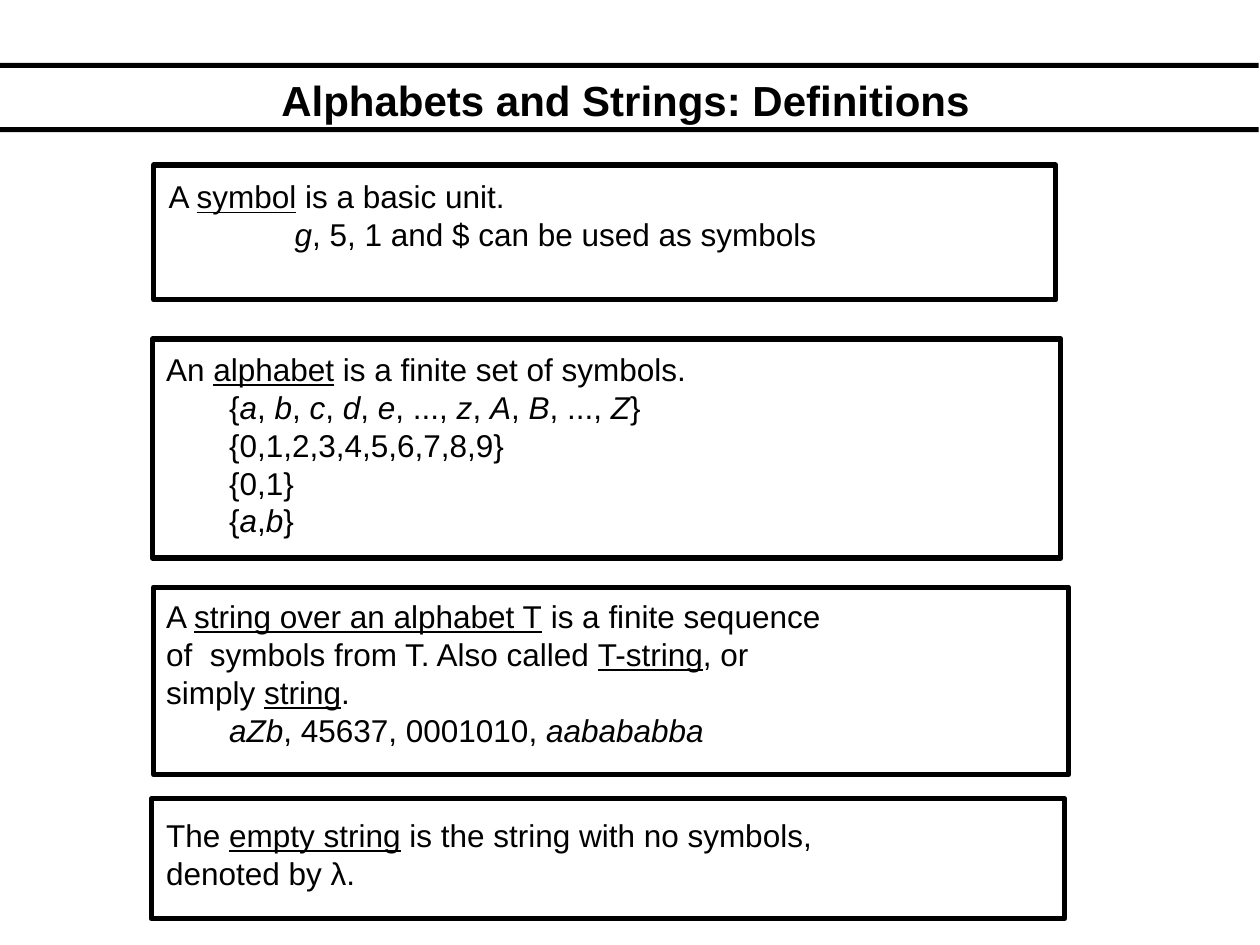
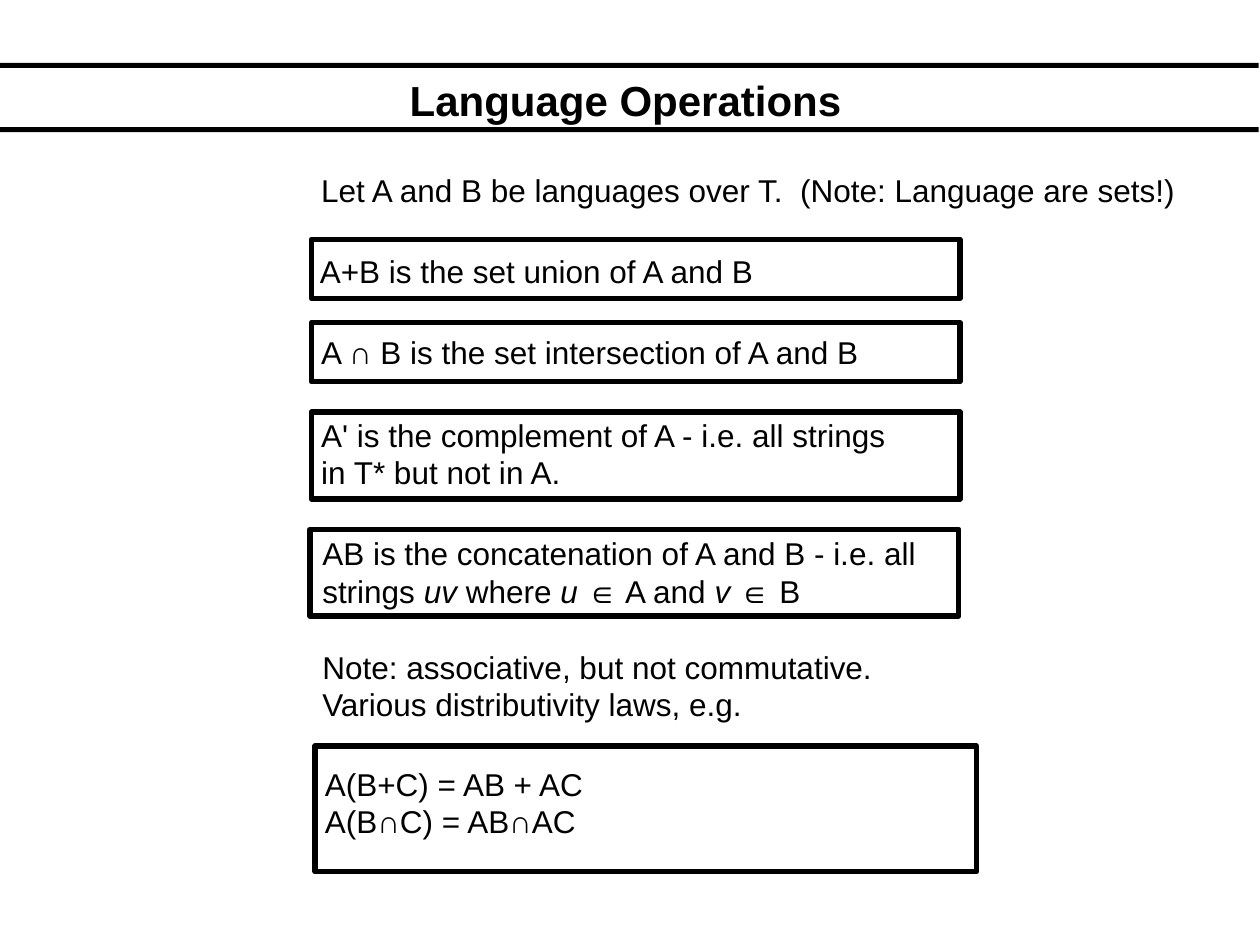
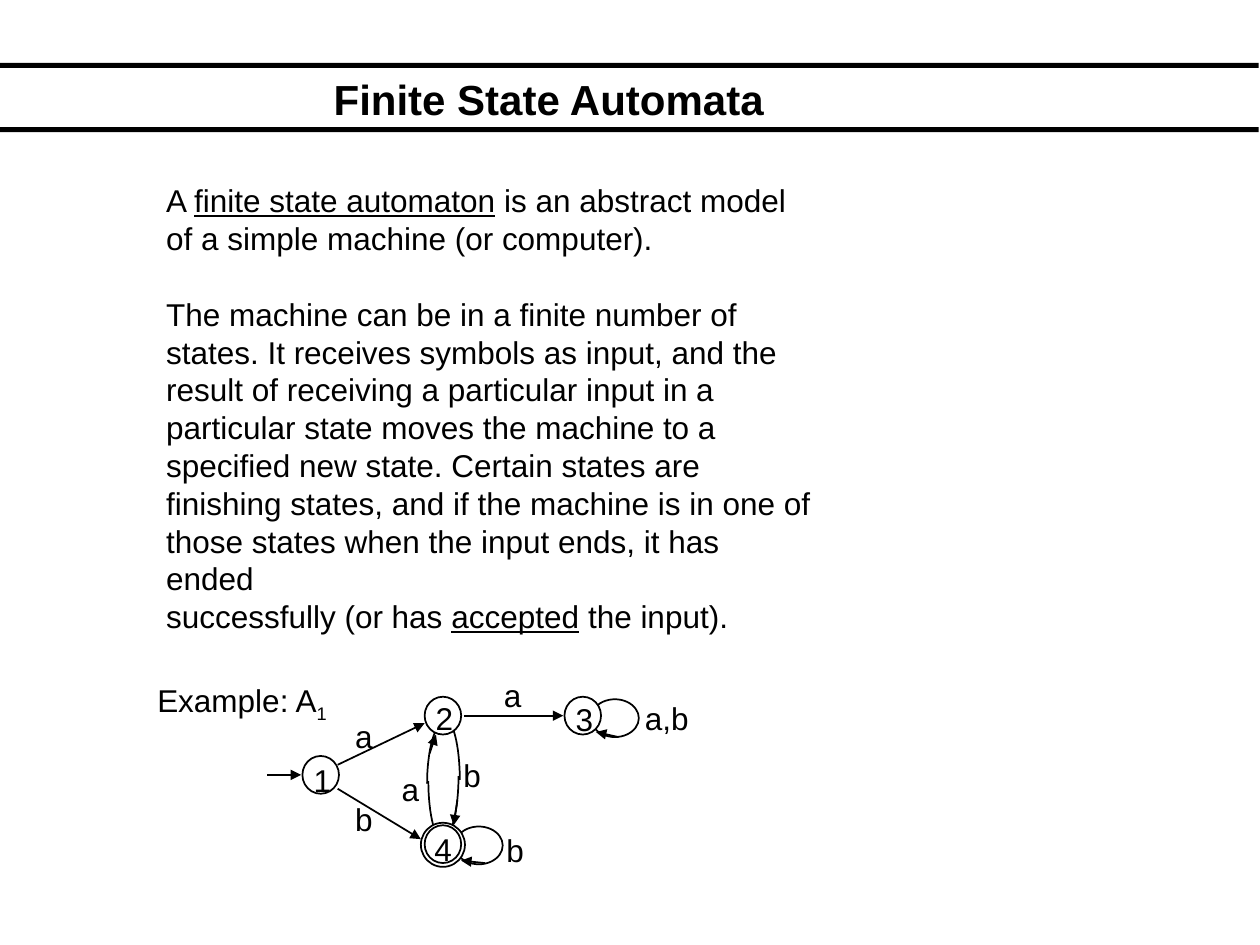
import dataclasses
import math
import typing

import pptx
import pptx.dml.color
import pptx.enum.shapes
import pptx.enum.text
import pptx.oxml
import pptx.oxml.ns
import pptx.util

Inches = pptx.util.Inches
Pt = pptx.util.Pt
SHAPES = pptx.enum.shapes.MSO_SHAPE

COLORS = {"ink": "000000", "paper": "FFFFFF"}
FONT = "Arial"
BODY_SIZE = 18
TITLE_SIZE = 24
LEADING = 1.2
BLANK_LINE = BODY_SIZE * LEADING

# Marks that switch a run format on and off inside a line of text
RUN_MARKS = {"_": "underline", "/": "italic", "~": "subscript"}


class Box(typing.NamedTuple):
    left: float
    top: float
    width: float
    height: float

    def lengths(self) -> list:
        return [Inches(value) for value in self]


@dataclasses.dataclass
class Line:
    text: str
    indent: float = 0
    space_before: float = 0


@dataclasses.dataclass
class TextBlock:
    box: Box
    lines: list


class Arc(typing.NamedTuple):
    center_x: float
    center_y: float
    radius_x: float
    radius_y: float
    start_degrees: int


class Arrow(typing.NamedTuple):
    start_x: float
    start_y: float
    end_x: float
    end_y: float


class Label(typing.NamedTuple):
    text: str
    left: float
    top: float
    width: float = 0.34


def rgb(name: str) -> pptx.dml.color.RGBColor:
    return pptx.dml.color.RGBColor.from_string(COLORS[name])


def split_runs(text: str) -> list:
    """Cut marked text into (text, format name) pairs."""
    runs, current, active = [], "", None
    for character in text:
        if character in RUN_MARKS:
            if current:
                runs.append((current, active))
            current = ""
            active = None if active else RUN_MARKS[character]
        else:
            current += character
    return runs + [(current, active)] if current else runs


def fill_paragraph(paragraph, line: Line, size: float, bold: bool) -> None:
    paragraph.line_spacing = Pt(size * LEADING)
    if line.space_before:
        paragraph.space_before = Pt(line.space_before)
    if line.indent:
        paragraph._p.get_or_add_pPr().set("marL", str(Inches(line.indent)))
    for text, active in split_runs(line.text):
        run = paragraph.add_run()
        run.text = text
        formats = {"name": FONT, "size": Pt(size), "bold": bold}
        if active == "subscript":
            run._r.get_or_add_rPr().set("baseline", "-25000")
        elif active:
            formats[active] = True
        for attribute, value in formats.items():
            setattr(run.font, attribute, value)
        run.font.color.rgb = rgb("ink")


def add_text(slide, block: TextBlock, size: float = BODY_SIZE, bold: bool = False):
    shape = slide.shapes.add_textbox(*block.box.lengths())
    frame = shape.text_frame
    frame.word_wrap = False
    for index, line in enumerate(block.lines):
        paragraph = frame.add_paragraph() if index else frame.paragraphs[0]
        fill_paragraph(paragraph, line, size, bold)
    return shape


def add_label(slide, label: Label) -> None:
    box = Box(label.left, label.top, label.width, 0.4)
    add_text(slide, TextBlock(box, [Line(label.text)]))


def add_outline(slide, kind, box: Box, width: float, fill: typing.Optional[str] = None) -> None:
    shape = slide.shapes.add_shape(kind, *box.lengths())
    shape.shadow.inherit = False
    if fill:
        shape.fill.solid()
        shape.fill.fore_color.rgb = rgb(fill)
    else:
        shape.fill.background()
    if width:
        shape.line.color.rgb = rgb("ink")
        shape.line.width = Pt(width)
    else:
        shape.line.fill.background()


def add_arc(slide, arc: Arc, steps: int = 16) -> None:
    """Draw a quarter of an ellipse."""
    points = []
    for step in range(steps + 1):
        angle = math.radians(arc.start_degrees + 90 * step / steps)
        points.append((Inches(arc.center_x + arc.radius_x * math.cos(angle)),
                       Inches(arc.center_y + arc.radius_y * math.sin(angle))))
    builder = slide.shapes.build_freeform(*points[0])
    builder.add_line_segments(points[1:], close=False)
    shape = builder.convert_to_shape()
    shape.shadow.inherit = False
    shape.fill.background()
    shape.line.color.rgb = rgb("ink")
    shape.line.width = Pt(1)


def add_arrow(slide, arrow: Arrow) -> None:
    connector = slide.shapes.add_connector(
        pptx.enum.shapes.MSO_CONNECTOR.STRAIGHT, *[Inches(value) for value in arrow])
    connector.line.color.rgb = rgb("ink")
    connector.line.width = Pt(1)
    tail = pptx.oxml.parse_xml(
        f'<a:tailEnd {pptx.oxml.ns.nsdecls("a")} type="triangle"/>')
    connector.line._get_or_add_ln().append(tail)
    effects = pptx.oxml.parse_xml(f'<a:effectLst {pptx.oxml.ns.nsdecls("a")}/>')
    connector._element.spPr.append(effects)


TITLE_BOX = Box(0.56, 0.53, 8.81, 0.52)


def add_titled_slide(presentation, title: str, box: Box = TITLE_BOX):
    """Add a blank slide with the two rules and the title between them."""
    slide = presentation.slides.add_slide(presentation.slide_layouts[6])
    for top in (1.01, 0.5):
        add_outline(slide, SHAPES.RECTANGLE, Box(0, top, 9.99, 0.04), 0, "ink")
    shape = add_text(slide, TextBlock(box, [Line(title)]), TITLE_SIZE, True)
    frame = shape.text_frame
    frame.word_wrap = True
    frame.vertical_anchor = pptx.enum.text.MSO_ANCHOR.MIDDLE
    frame.paragraphs[0].alignment = pptx.enum.text.PP_ALIGN.CENTER
    return slide


def add_framed_texts(slide, blocks: list, frames: list) -> None:
    for block in blocks:
        add_text(slide, block)
    for frame in frames:
        add_outline(slide, SHAPES.RECTANGLE, frame, 3)


# Slide 1: definitions
DEFINITIONS = [
    TextBlock(Box(1.24, 1.36, 5.34, 0.7), [
        Line("A _symbol_ is a basic unit."),
        Line("/g/, 5, 1 and $ can be used as symbols", indent=1)]),
    TextBlock(Box(1.22, 4.69, 5.48, 1.3), [
        Line("A _string over an alphabet T_ is a finite sequence"),
        Line("of  symbols from T. Also called _T-string_, or"),
        Line("simply _string_."),
        Line("/aZb/, 45637, 0001010, /aabababba/", indent=0.5)]),
    TextBlock(Box(1.22, 6.43, 5.33, 0.7), [
        Line("The _empty string_ is the string with no symbols,"),
        Line("denoted by λ.")]),
    TextBlock(Box(1.22, 2.73, 4.33, 1.6), [
        Line("An _alphabet_ is a finite set of symbols."),
        Line("{/a/, /b/, /c/, /d/, /e/, ..., /z/, /A/, /B/, ..., /Z/}", indent=0.5),
        Line("{0,1,2,3,4,5,6,7,8,9}", indent=0.5),
        Line("{0,1}", indent=0.5),
        Line("{/a/,/b/}", indent=0.5)]),
]
DEFINITION_FRAMES = [
    Box(1.21, 2.69, 7.21, 1.74), Box(1.22, 1.31, 7.16, 1.07),
    Box(1.22, 4.66, 7.26, 1.49), Box(1.2, 6.34, 7.25, 0.95),
]

# Slide 2: operations
OPERATIONS = [
    TextBlock(Box(2.44, 1.95, 3.67, 0.4), [Line("A+B is the set union of A and B")]),
    TextBlock(Box(2.45, 2.59, 4.52, 0.4), [
        Line("A ∩ B is the set intersection of A and B")]),
    TextBlock(Box(2.45, 3.25, 4.71, 0.7), [
        Line("A' is the complement of A - i.e. all strings"),
        Line("in T* but not in A.")]),
    TextBlock(Box(2.46, 4.19, 4.94, 1.6), [
        Line("AB is the concatenation of A and B - i.e. all"),
        Line("strings /uv/ where /u ∈/ A and /v ∈/ B"),
        Line("Note: associative, but not commutative.", space_before=BLANK_LINE),
        Line("Various distributivity laws, e.g.")]),
    TextBlock(Box(2.45, 1.31, 7.04, 0.4), [
        Line("Let A and B be languages over T.  (Note: Language are sets!)")]),
    TextBlock(Box(2.48, 6.02, 2.28, 0.7), [
        Line("A(B+C) = AB + AC"),
        Line("A(B∩C) = AB∩ΑC")]),
]
OPERATION_FRAMES = [
    Box(2.47, 1.9, 5.15, 0.47), Box(2.47, 2.56, 5.15, 0.47),
    Box(2.47, 3.27, 5.15, 0.69), Box(2.46, 4.2, 5.15, 0.69),
    Box(2.5, 5.92, 5.25, 1),
]

# Slide 3: automaton
AUTOMATON_TEXTS = [
    TextBlock(Box(1.22, 1.39, 5.35, 3.4), [
        Line("A _finite state automaton_ is an abstract model"),
        Line("of a simple machine (or computer)."),
        Line("The machine can be in a finite number of", space_before=BLANK_LINE),
        Line("states. It receives symbols as input, and the"),
        Line("result of receiving a particular input in a"),
        Line("particular state moves the machine to a"),
        Line("specified new state. Certain states are"),
        Line("finishing states, and if the machine is in one of"),
        Line("those states when the input ends, it has ended"),
        Line("successfully (or has _accepted_ the input).")]),
    TextBlock(Box(1.15, 5.4, 1.56, 0.44), [Line("Example: A~1~")]),
]
LOOPS = [Box(3.61, 6.56, 0.38, 0.3), Box(4.69, 5.55, 0.38, 0.3)]
ARCS = [
    Arc(3.53, 6.2, 0.13, 0.49, 90), Arc(3.53, 6.22, 0.14, 0.49, 180),
    Arc(3.51, 6.16, 0.13, 0.5, 0), Arc(3.52, 6.19, 0.13, 0.5, 270),
]
FINAL_RING = Box(3.34, 6.53, 0.35, 0.35)
STATES = [Box(left, top, 0.29, 0.3) for left, top in
          [(2.4, 6), (3.37, 5.53), (4.48, 5.53), (3.37, 6.55)]]
ARROWS = [
    Arrow(2.12, 6.15, 2.39, 6.15), Arrow(2.68, 6.07, 3.37, 5.74),
    Arrow(2.68, 6.26, 3.34, 6.66), Arrow(3.68, 5.68, 4.47, 5.68),
    Arrow(3.41, 5.98, 3.46, 5.83), Arrow(3.63, 6.35, 3.6, 6.55),
    Arrow(3.85, 6.85, 3.66, 6.83), Arrow(4.91, 5.85, 4.73, 5.81),
]
LABELS = [
    Label("1", 2.39, 5.99), Label("2", 3.36, 5.5),
    Label("3", 4.47, 5.51), Label("4", 3.35, 6.54),
    Label("a", 2.72, 5.64), Label("b", 2.72, 6.3),
    Label("b", 3.58, 5.95), Label("b", 3.92, 6.55),
    Label("a", 3.09, 6.06), Label("a", 3.9, 5.32),
    Label("a,b", 5.02, 5.5, 0.55),
]


def draw_automaton(slide) -> None:
    for arc in ARCS:
        add_arc(slide, arc)
    for ellipse in [*LOOPS, FINAL_RING, *STATES]:
        add_outline(slide, SHAPES.OVAL, ellipse, 1, "paper")
    for arrow in ARROWS:
        add_arrow(slide, arrow)
    for label in LABELS:
        add_label(slide, label)


def main() -> None:
    presentation = pptx.Presentation()
    presentation.slide_width = Inches(10)
    presentation.slide_height = Inches(7.5)

    slide = add_titled_slide(presentation, "Alphabets and Strings: Definitions")
    add_framed_texts(slide, DEFINITIONS, DEFINITION_FRAMES)

    slide = add_titled_slide(presentation, "Language Operations")
    add_framed_texts(slide, OPERATIONS, OPERATION_FRAMES)

    slide = add_titled_slide(presentation, "Finite State Automata", Box(1.77, 0.44, 5.17, 0.69))
    add_framed_texts(slide, AUTOMATON_TEXTS, [])
    draw_automaton(slide)

    presentation.save("out.pptx")


if __name__ == "__main__":
    main()
